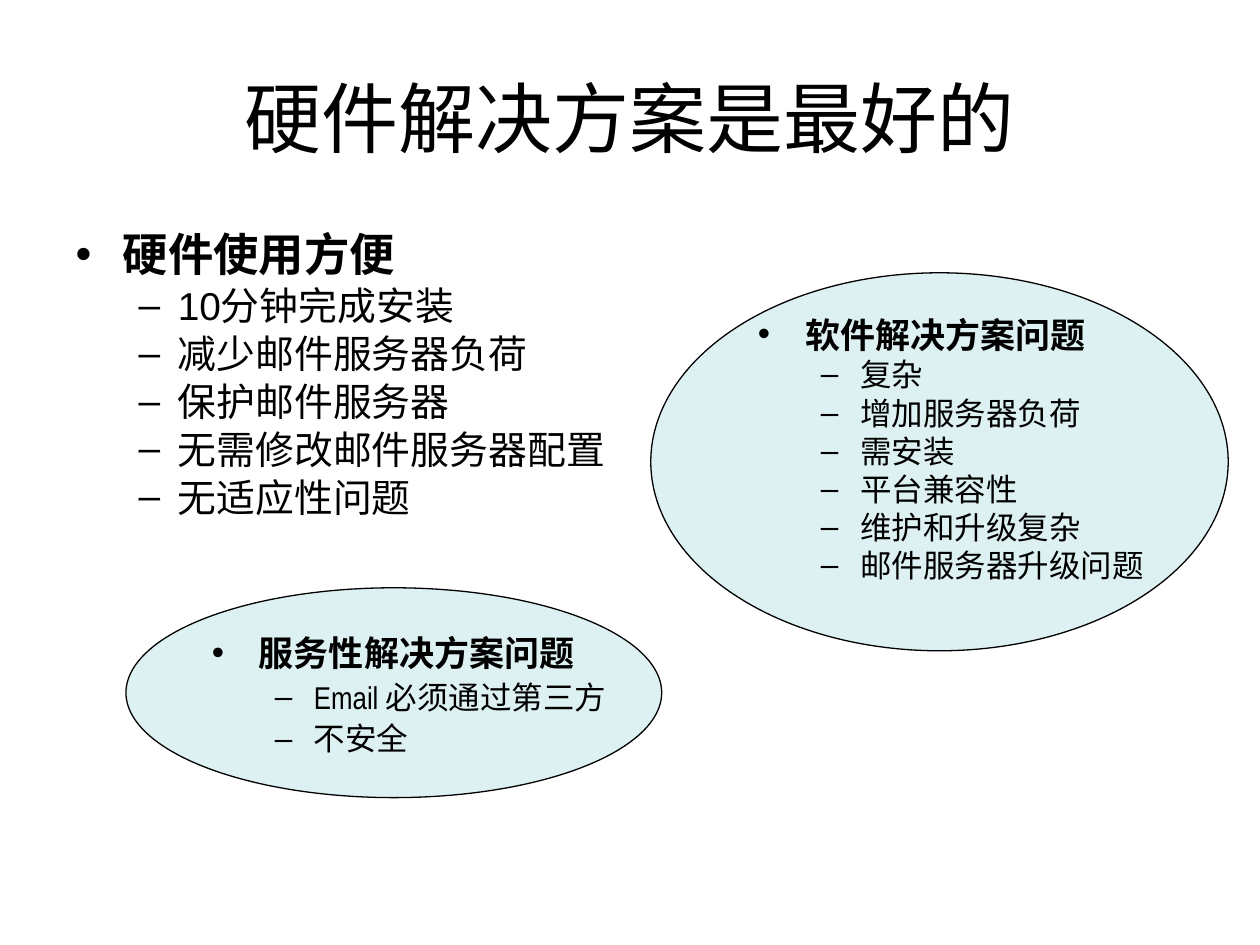
from dataclasses import dataclass

from lxml.etree import SubElement
from pptx import Presentation
from pptx.dml.color import RGBColor
from pptx.enum.shapes import MSO_SHAPE
from pptx.enum.text import MSO_ANCHOR, MSO_AUTO_SIZE, PP_ALIGN
from pptx.oxml.ns import qn
from pptx.util import Cm, Pt


@dataclass(frozen=True)
class Theme:
    ink: RGBColor = RGBColor(0x00, 0x00, 0x00)
    pale: RGBColor = RGBColor(0xDE, 0xF1, 0xF2)
    font: str = "Arial"
    slim: str = "Arial Narrow"
    title: float = 44
    body: tuple = (25.9, 22.2)
    note: tuple = (20, 18)


THEME = Theme()

# Per list level: bullet, left margin and hanging indent in cm
LEVELS = (("•", 0.95, 0.95), ("–", 2.06, 0.79))


def place(shape, left, top, width, height):
    shape.left, shape.top = Cm(left), Cm(top)
    shape.width, shape.height = Cm(width), Cm(height)


def add_run(para, text, size, font, bold=False):
    run = para.add_run()
    run.text = text
    run.font.size = Pt(size)
    run.font.name = font
    run.font.bold = bold
    run.font.color.rgb = THEME.ink


def set_mark(para, level):
    """Give the paragraph its level, hanging indent and bullet."""
    mark, left, hang = LEVELS[level]
    para.level = level
    props = para._p.get_or_add_pPr()
    props.set("marL", str(Cm(left)))
    props.set("indent", str(-Cm(hang)))
    SubElement(props, qn("a:buFont")).set("typeface", THEME.font)
    SubElement(props, qn("a:buChar")).set("char", mark)


def fill_list(shape, head, items, sizes, font, gaps, pitch):
    """Write a bold head with sub-items; gaps is the space before each item."""
    frame = shape.text_frame
    frame.word_wrap = True
    frame.auto_size = MSO_AUTO_SIZE.NONE
    frame.vertical_anchor = MSO_ANCHOR.TOP
    for i, text in enumerate((head, *items)):
        para = frame.add_paragraph() if i else frame.paragraphs[0]
        level = min(i, 1)
        set_mark(para, level)
        para.line_spacing = pitch
        para.space_before = Pt(gaps if i else 0)
        add_run(para, text, sizes[level], font, bold=not i)


def set_title(shape, text):
    place(shape, 1.27, 0.76, 22.86, 3.18)
    frame = shape.text_frame
    frame.auto_size = MSO_AUTO_SIZE.NONE
    frame.vertical_anchor = MSO_ANCHOR.MIDDLE
    para = frame.paragraphs[0]
    para.alignment = PP_ALIGN.CENTER
    add_run(para, text, THEME.title, THEME.font)


def add_oval(slide, *area):
    oval = slide.shapes.add_shape(MSO_SHAPE.OVAL, *map(Cm, area))
    oval.shadow.inherit = False
    oval.fill.solid()
    oval.fill.fore_color.rgb = THEME.pale
    oval.line.color.rgb = THEME.ink
    oval.line.width = Pt(0.75)


def add_note(slide, area, head, items, pitch):
    box = slide.shapes.add_textbox(*map(Cm, area))
    fill_list(box, head, items, THEME.note, THEME.slim, 4.5, pitch)


def main():
    deck = Presentation()
    deck.slide_width, deck.slide_height = Cm(25.4), Cm(19.05)
    slide = deck.slides.add_slide(deck.slide_layouts[1])

    set_title(slide.shapes.title, "硬件解决方案是最好的")
    body = slide.placeholders[1]
    place(body, 1.27, 4.65, 14.17, 5.92)
    fill_list(body, "硬件使用方便",
              ("10分钟完成安装", "减少邮件服务器负荷", "保护邮件服务器",
               "无需修改邮件服务器配置", "无适应性问题"),
              THEME.body, THEME.font, 6, 0.8)

    add_oval(slide, 2.54, 11.85, 10.8, 4.23)
    add_oval(slide, 13.12, 5.5, 11.64, 7.62)
    add_note(slide, (15.03, 6.35, 8.89, 5.93), "软件解决方案问题",
             ("复杂", "增加服务器负荷", "需安装", "平台兼容性",
              "维护和升级复杂", "邮件服务器升级问题"), 0.8)
    add_note(slide, (4.02, 12.7, 8.89, 2.75), "服务性解决方案问题",
             ("Email 必须通过第三方", "不安全"), 0.9)

    deck.save("out.pptx")


if __name__ == "__main__":
    main()
